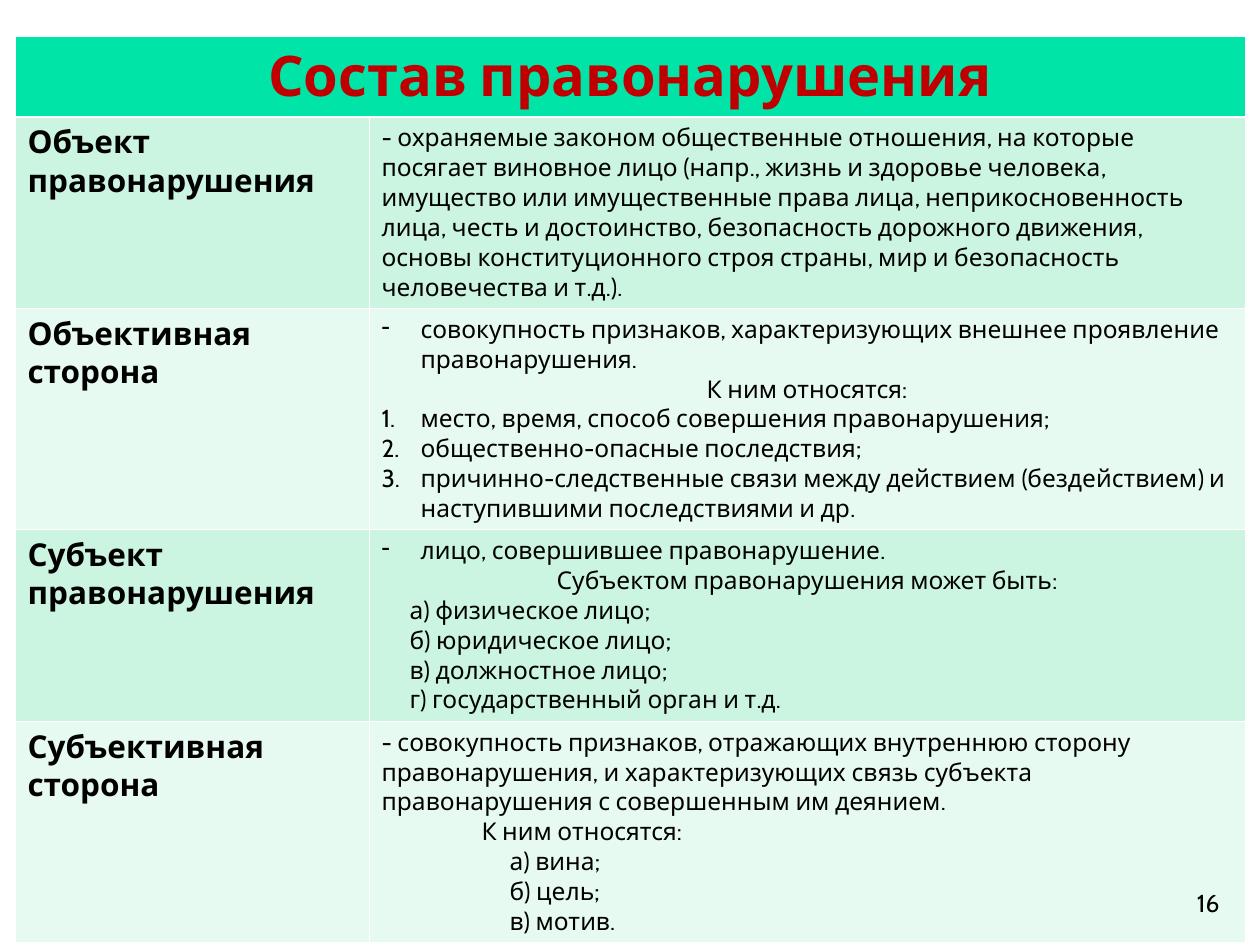
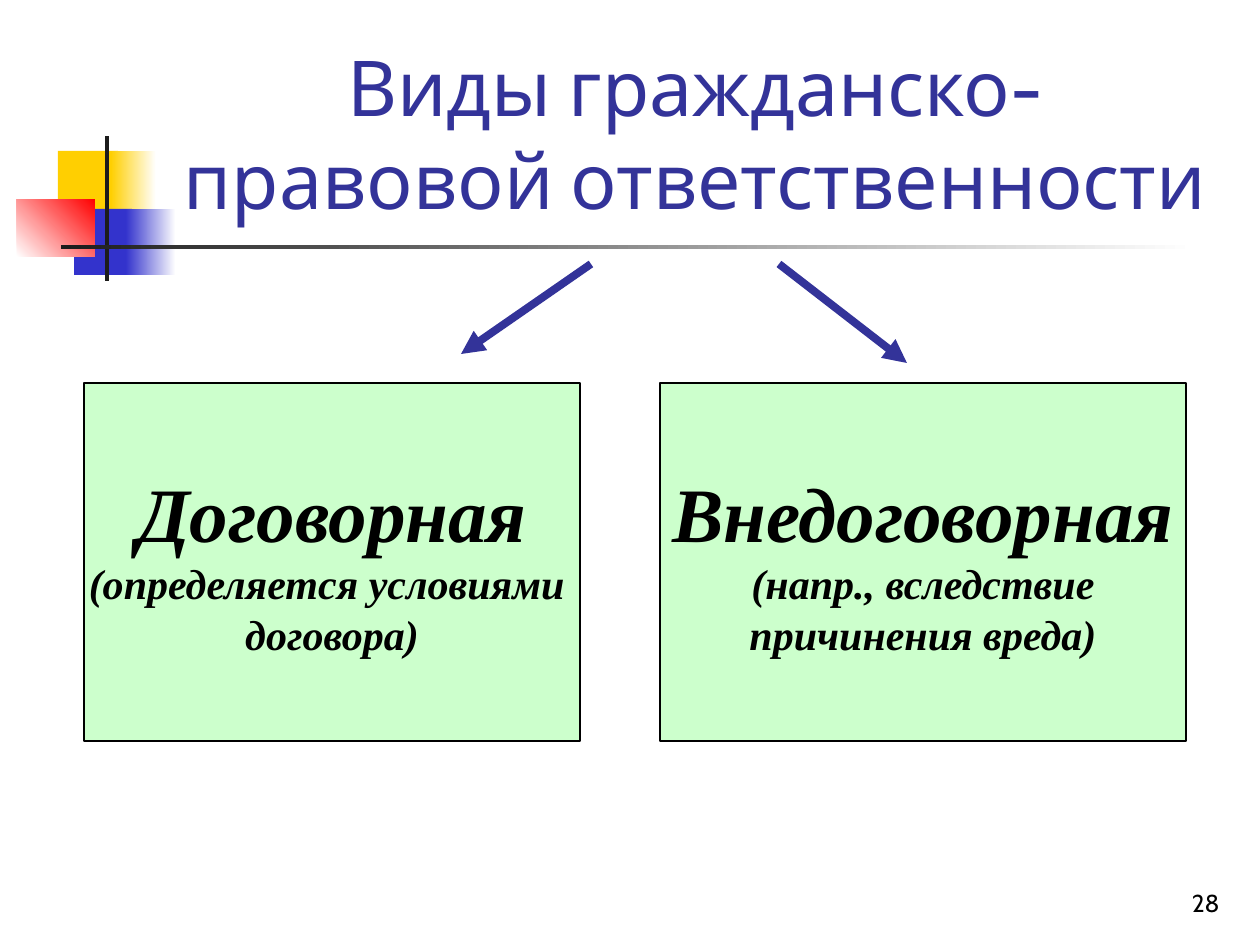
from lxml import etree
from pptx import Presentation
from pptx.dml.color import RGBColor
from pptx.enum.shapes import MSO_CONNECTOR, MSO_SHAPE
from pptx.enum.text import MSO_ANCHOR, MSO_AUTO_SIZE, PP_ALIGN
from pptx.oxml.ns import qn
from pptx.util import Emu, Pt

RECTANGLE = MSO_SHAPE.RECTANGLE
STRAIGHT = MSO_CONNECTOR.STRAIGHT
LEFT, CENTER, RIGHT = PP_ALIGN.LEFT, PP_ALIGN.CENTER, PP_ALIGN.RIGHT
BOTTOM, MIDDLE = MSO_ANCHOR.BOTTOM, MSO_ANCHOR.MIDDLE

PX = 914400 / 126
PAGE_SIZE = (1260, 945)
TITLE_ONLY, BLANK = 5, 6

COLORS = {
    "white": "FFFFFF", "black": "000000", "ink": "1C1C1C",
    "yellow": "FFCF01", "blue": "3333CC", "red": "FF0000",
    "title": "333399", "heading": "C00000", "header": "00E4A8",
    "mint": "CBF5E1", "pale mint": "E7FAF1", "box": "CCFFCC",
}

FORMATS = {
    "table heading": {"name": "Cabin", "size": Pt(32), "bold": True, "color": "heading"},
    "element": {"name": "Cabin", "size": Pt(18), "bold": True, "color": "black"},
    "body": {"name": "Cabin", "size": Pt(14), "bold": False, "color": "black"},
    "title": {"name": "Cabin", "size": Pt(44), "color": "title"},
    "kind": {"name": "Times New Roman", "size": Pt(44), "bold": True,
             "italic": True, "color": "black"},
    "kind note": {"name": "Times New Roman", "size": Pt(24), "bold": True,
                  "italic": True, "color": "black"},
}

# Master decoration: place, first colour, last colour, gradient angle
DECORATION = [
    ((58, 151, 60, 66), "yellow", "yellow", 0),
    ((111, 151, 45, 66), "yellow", "white", 0),
    ((74, 209, 58, 66), "blue", "blue", 0),
    ((126, 209, 50, 66), "blue", "white", 0),
    ((17, 199, 78, 58), "white", "red", 45),
    ((105, 136, 4, 145), "ink", "ink", 0),
    ((61, 245, 1134, 4), "ink", "white", 0),
]
PAGE_NUMBER_PLACE = (970, 861, 262, 63)

OFFENCE_TITLE = "Состав правонарушения"
OFFENCE_ELEMENTS = [
    ("Объект правонарушения", [
        ("plain", "- охраняемые законом общественные отношения, на которые посягает "
                  "виновное лицо (напр., жизнь и здоровье человека, имущество или "
                  "имущественные права лица, неприкосновенность лица, честь и достоинство, "
                  "безопасность дорожного движения, основы конституционного строя страны, "
                  "мир и безопасность человечества и т.д.)."),
    ]),
    ("Объективная сторона", [
        ("dash", "совокупность признаков, характеризующих внешнее проявление правонарушения."),
        ("centered", "К ним относятся:"),
        ("numbered", "место, время, способ совершения правонарушения;"),
        ("numbered", "общественно-опасные последствия;"),
        ("numbered", "причинно-следственные связи между действием (бездействием) и "
                     "наступившими последствиями и др."),
    ]),
    ("Субъект правонарушения", [
        ("dash", "лицо, совершившее правонарушение."),
        ("centered", "Субъектом правонарушения может быть:"),
        ("lettered", "а) физическое лицо;"),
        ("lettered", "б) юридическое лицо;"),
        ("lettered", "в) должностное лицо;"),
        ("lettered", "г) государственный орган и т.д."),
    ]),
    ("Субъективная сторона", [
        ("plain", "- совокупность признаков, отражающих внутреннюю сторону правонарушения, "
                  "и характеризующих связь субъекта правонарушения с совершенным им деянием."),
        ("inset", "К ним относятся:"),
        ("deep lettered", "а) вина;"),
        ("deep lettered", "б) цель;"),
        ("deep lettered", "в) мотив."),
    ]),
]
TABLE_ORIGIN = (15, 36)
COLUMN_WIDTHS = (354, 876)
ROW_HEIGHTS = (79, 189, 218, 189, 218)
THIN, THICK = Pt(0.45), Pt(1.47)

# Paragraph styles: alignment, left margin, first-line indent, bullet tag and attributes
PARA_STYLES = {
    "plain": (LEFT, 0, 0, None),
    "centered": (CENTER, 0, 0, None),
    "dash": (LEFT, 39, -39, ("a:buChar", {"char": "-"})),
    "numbered": (LEFT, 39, -39, ("a:buAutoNum", {"type": "arabicPeriod"})),
    "lettered": (LEFT, 28, 0, None),
    "inset": (LEFT, 100, 0, None),
    "deep lettered": (LEFT, 128, 0, None),
    "right": (RIGHT, 0, 0, None),
}

LIABILITY_TITLE = "Виды гражданско-правовой ответственности"
TITLE_PLACE = (159, 29, 1073, 202)
LIABILITY_KINDS = [
    {"place": (84, 383, 496, 358), "arrow": (591, 264, 461, 354),
     "kind": "Договорная", "note": ["(определяется условиями ", "договора)"]},
    {"place": (660, 383, 526, 358), "arrow": (779, 264, 907, 363),
     "kind": "Внедоговорная", "note": ["(напр., вследствие", "причинения вреда)"]},
]


def px(*lengths):
    return [Emu(round(length * PX)) for length in lengths]


def rgb(color):
    return RGBColor.from_string(COLORS[color])


def paint(fill, color):
    fill.solid()
    fill.fore_color.rgb = rgb(color)


def style_para(para, style):
    align, margin, indent, bullet = PARA_STYLES[style]
    para.alignment = align
    properties = para._p.get_or_add_pPr()
    for name, length in zip(("marL", "indent"), px(margin, indent)):
        properties.set(name, str(length))
    if bullet:
        tag, attributes = bullet
        etree.SubElement(properties, qn(tag), attributes)


def write(frame, lines):
    """Fill a text frame with (paragraph style, text format, text) lines."""
    for index, (style, text_format, text) in enumerate(lines):
        para = frame.add_paragraph() if index else frame.paragraphs[0]
        style_para(para, style)
        span = para.add_run()
        span.text = text
        for name, value in FORMATS[text_format].items():
            if name == "color":
                span.font.color.rgb = rgb(value)
            else:
                setattr(span.font, name, value)


def add_box(page, place):
    box = page.shapes.add_shape(RECTANGLE, *px(*place))
    box.shadow.inherit = False
    return box


def decorate_master(deck, page):
    """Draw the decoration on a page and move it behind the master's placeholders."""
    tree = deck.slide_master.shapes._spTree
    for index, (place, first, last, angle) in enumerate(DECORATION):
        box = add_box(page, place)
        box.line.fill.background()
        if first == last:
            paint(box.fill, first)
        else:
            box.fill.gradient()
            box.fill.gradient_angle = angle
            for stop, position, color in zip(box.fill.gradient_stops, (0, 1), (first, last)):
                stop.position = position
                stop.color.rgb = rgb(color)
        box._element.nvSpPr.cNvPr.set("id", str(100 + index))
        tree.insert(2 + index, box._element)


def add_page_number(page, number):
    frame = page.shapes.add_textbox(*px(*PAGE_NUMBER_PLACE)).text_frame
    frame.word_wrap = True
    frame.vertical_anchor = BOTTOM
    write(frame, [("right", "body", number)])


def border_cell(cell, widths):
    properties = cell._tc.get_or_add_tcPr()
    for index, (side, width) in enumerate(widths.items()):
        line = etree.Element(qn("a:ln" + side), {"w": str(width)})
        fill = etree.SubElement(line, qn("a:solidFill"))
        etree.SubElement(fill, qn("a:srgbClr"), {"val": COLORS["white"]})
        properties.insert(index, line)


def add_offence_table(page):
    size = sum(COLUMN_WIDTHS), sum(ROW_HEIGHTS)
    table = page.shapes.add_table(len(ROW_HEIGHTS), len(COLUMN_WIDTHS),
                                  *px(*TABLE_ORIGIN, *size)).table
    table.first_row = table.horz_banding = False
    for column, width in zip(table.columns, px(*COLUMN_WIDTHS)):
        column.width = width
    for row, height in zip(table.rows, px(*ROW_HEIGHTS)):
        row.height = height

    for index, row in enumerate(table.rows):
        color = "header" if index == 0 else "mint" if index % 2 else "pale mint"
        widths = {"L": THIN, "R": THIN,
                  "T": THICK if index == 1 else THIN,
                  "B": THICK if index == 0 else THIN}
        for cell in row.cells:
            paint(cell.fill, color)
            border_cell(cell, widths)

    heading = table.cell(0, 0)
    heading.merge(table.cell(0, 1))
    write(heading.text_frame, [("centered", "table heading", OFFENCE_TITLE)])
    for index, (element, lines) in enumerate(OFFENCE_ELEMENTS, 1):
        write(table.cell(index, 0).text_frame, [("plain", "element", element)])
        write(table.cell(index, 1).text_frame,
              [(style, "body", text) for style, text in lines])


def add_title(page, text):
    title = page.shapes.title
    title.left, title.top, title.width, title.height = px(*TITLE_PLACE)
    title.text_frame.auto_size = MSO_AUTO_SIZE.NONE
    title.text_frame.vertical_anchor = BOTTOM
    write(title.text_frame, [("centered", "title", text)])


def add_kind_box(page, item):
    box = add_box(page, item["place"])
    paint(box.fill, "box")
    paint(box.line.fill, "black")
    box.line.width = Pt(0.75)
    box.text_frame.word_wrap = False
    box.text_frame.vertical_anchor = MIDDLE
    write(box.text_frame, [("centered", "kind", item["kind"])]
          + [("centered", "kind note", line) for line in item["note"]])


def add_arrow(page, ends):
    arrow = page.shapes.add_connector(STRAIGHT, *px(*ends))
    paint(arrow.line.fill, "title")
    arrow.line.width = Pt(4.5)
    etree.SubElement(arrow.line._get_or_add_ln(), qn("a:tailEnd"), {"type": "triangle"})
    etree.SubElement(arrow._element.spPr, qn("a:effectLst"))


def main():
    deck = Presentation()
    deck.slide_width, deck.slide_height = px(*PAGE_SIZE)

    offence = deck.slides.add_slide(deck.slide_layouts[BLANK])
    decorate_master(deck, offence)
    add_offence_table(offence)
    add_page_number(offence, "16")

    liability = deck.slides.add_slide(deck.slide_layouts[TITLE_ONLY])
    add_page_number(liability, "28")
    add_title(liability, LIABILITY_TITLE)
    for item in LIABILITY_KINDS:
        add_kind_box(liability, item)
        add_arrow(liability, item["arrow"])

    deck.save("out.pptx")


if __name__ == "__main__":
    main()
